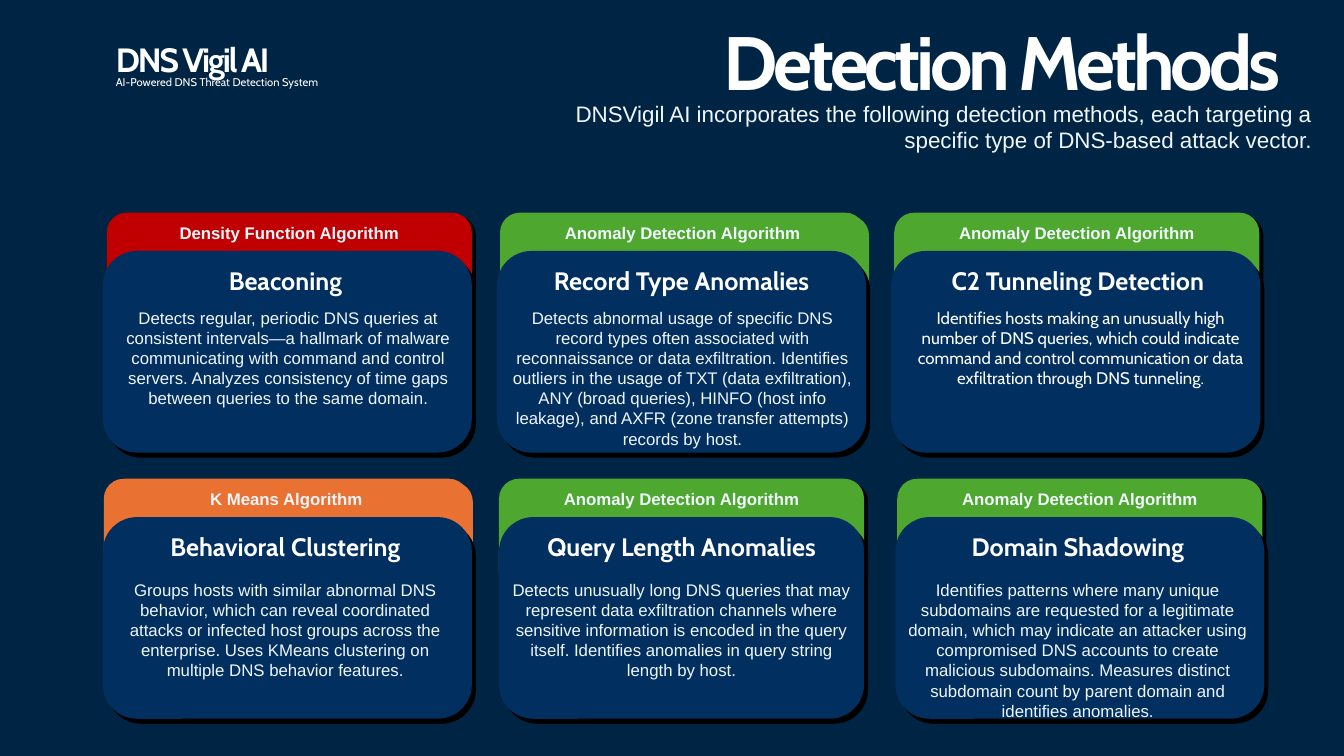
"""Build the Detection Methods slide."""
from dataclasses import dataclass

from pptx import Presentation
from pptx.dml.color import RGBColor
from pptx.enum import shapes, text
from pptx.util import Inches, Pt

WIDE, HIGH = 13.33, 7.5
COL, ROW = 3.93, 2.64
LEFT, TOP = 1.03, 2.12
WHITE, PALE, BLACK = "FFFFFF", "F0F6FC", "000000"
NAVY, BLUE = "002544", "012F5F"
RED, GREEN, ORANGE = "C00000", "4EA72E", "E97132"
ANOMALY = "Anomaly Detection Algorithm"


@dataclass
class Card:
    """A method in the grid; nudges are inches from its column or row."""

    col: int
    row: int
    label: str
    head: str
    body: str
    fill: str = GREEN
    shade: str = BLACK
    tab: float = 0
    box: float = 0
    shift: float = 0
    wide: float = 3.64
    font: str = "Arial"
    ink: str = PALE

    def x(self, nudge: float = 0) -> float:
        """Return the column's left edge plus a nudge."""
        return LEFT + self.col * COL + nudge

    def y(self, nudge: float = 0) -> float:
        """Return the row's top edge plus a nudge."""
        return TOP + self.row * ROW + nudge


CARDS = [
    Card(0, 0, "Density Function Algorithm", "Beaconing",
         "Detects regular, periodic DNS queries at consistent intervals—a hallmark of "
         "malware communicating with command and control servers. Analyzes consistency "
         "of time gaps between queries to the same domain.",
         fill=RED, tab=0.04, shift=0.02),
    Card(1, 0, ANOMALY, "Record Type Anomalies",
         "Detects abnormal usage of specific DNS record types often associated with "
         "reconnaissance or data exfiltration. Identifies outliers in the usage of TXT "
         "(data exfiltration), ANY (broad queries), HINFO (host info leakage), and AXFR "
         "(zone transfer attempts) records by host.",
         shade=GREEN, tab=0.01, box=-0.02),
    Card(2, 0, ANOMALY, "C2 Tunneling Detection",
         "Identifies hosts making an unusually high number of DNS queries, which could "
         "indicate command and control communication or data exfiltration through DNS "
         "tunneling.",
         tab=-0.01, box=-0.04, shift=0.02, font="Cabin", ink=WHITE),
    Card(0, 1, "K Means Algorithm", "Behavioral Clustering",
         "Groups hosts with similar abnormal DNS behavior, which can reveal coordinated "
         "attacks or infected host groups across the enterprise. Uses KMeans clustering "
         "on multiple DNS behavior features.",
         fill=ORANGE, shade=ORANGE, tab=0.01, shift=-0.01),
    Card(1, 1, ANOMALY, "Query Length Anomalies",
         "Detects unusually long DNS queries that may represent data exfiltration "
         "channels where sensitive information is encoded in the query itself. "
         "Identifies anomalies in query string length by host.",
         shift=-0.01, wide=3.6),
    Card(2, 1, ANOMALY, "Domain Shadowing",
         "Identifies patterns where many unique subdomains are requested for a "
         "legitimate domain, which may indicate an attacker using compromised DNS "
         "accounts to create malicious subdomains. Measures distinct subdomain count by "
         "parent domain and identifies anomalies.",
         tab=0.02, shift=-0.01),
]


def tint(code: str) -> RGBColor:
    """Turn a hex string into a colour."""
    return RGBColor.from_string(code)


def place(x: float, y: float, w: float, h: float) -> tuple:
    """Turn inches into slide lengths."""
    return tuple(Inches(n) for n in (x, y, w, h))


def write(shape, words: str, *, size: float, font: str = "Cabin", ink: str = WHITE,
          bold: bool = False, align=text.PP_ALIGN.CENTER, track: int = 0) -> None:
    """Fill a shape with one formatted paragraph."""
    frame = shape.text_frame
    frame.word_wrap = True
    frame.auto_size = text.MSO_AUTO_SIZE.NONE
    frame.vertical_anchor = text.MSO_ANCHOR.TOP
    para = frame.paragraphs[0]
    para.alignment = align
    run = para.add_run()
    run.text = words
    run.font.size, run.font.name, run.font.bold = Pt(size), font, bold
    run.font.color.rgb = tint(ink)
    if track:
        run._r.get_or_add_rPr().set("spc", str(track))


def note(slide, spot: tuple, words: str, **form) -> None:
    """Add a text box in the given format."""
    write(slide.shapes.add_textbox(*place(*spot)), words, **form)


def panel(slide, spot: tuple, fill: str, shade: str, drop: float) -> None:
    """Add a rounded panel over its offset backing."""
    x, y, w, h = spot
    group = slide.shapes.add_group_shape()
    for dx, dy, code in ((0.04, drop, shade), (0, 0, fill)):
        part = group.shapes.add_shape(shapes.MSO_SHAPE.ROUNDED_RECTANGLE,
                                      *place(x + dx, y + dy, w, h))
        part.shadow.inherit = False
        part.fill.solid()
        part.fill.fore_color.rgb = tint(code)
        part.line.color.rgb = tint(code)
        part.line.width = Pt(1.5)


def draw(slide, card: Card) -> None:
    """Draw one card with its tab, heading and body."""
    panel(slide, (card.x(card.tab), card.y(), 3.6, 1.12), card.fill, card.shade, 0.03)
    note(slide, (card.x(card.tab - 0.01), card.y(0.04), 3.62, 0.3), card.label,
         size=12, font="Arial", ink=PALE, bold=True)
    panel(slide, (card.x(card.box), card.y(0.38), card.wide, 1.98), BLUE, BLACK, 0.05)
    note(slide, (card.x(-0.04), card.y(0.46), 3.68, 0.4), card.head, size=18, bold=True)
    note(slide, (card.x(card.shift), card.y(0.88 + card.row * 0.06), 3.62, 1.31),
         card.body, size=12, font=card.font, ink=card.ink)


def main() -> None:
    """Build and save the slide."""
    deck = Presentation()
    deck.slide_width, deck.slide_height = Inches(WIDE), Inches(HIGH)
    slide = deck.slides.add_slide(deck.slide_layouts[5])
    slide.background.fill.solid()
    slide.background.fill.fore_color.rgb = tint(NAVY)
    title = slide.shapes.title
    title.left, title.top, title.width, title.height = place(7.08, 0.1, 6.03, 1.01)
    start = text.PP_ALIGN.LEFT
    write(title, "Detection Methods", size=54, bold=True, align=start, track=-300)
    note(slide, (1.05, 0.34, 2.11, 0.5), "DNS Vigil AI", size=24, bold=True,
         align=start, track=-150)
    note(slide, (1.05, 0.7, 2.37, 0.24), "AI-Powered DNS Threat Detection System",
         size=8, align=start)
    note(slide, (5.29, 0.94, 7.82, 0.64),
         "DNSVigil AI incorporates the following detection methods, each targeting a "
         "specific type of DNS-based attack vector.",
         size=16, font="Arial", ink=PALE, align=text.PP_ALIGN.RIGHT)
    for card in CARDS:
        draw(slide, card)
    deck.save("out.pptx")


if __name__ == "__main__":
    main()
